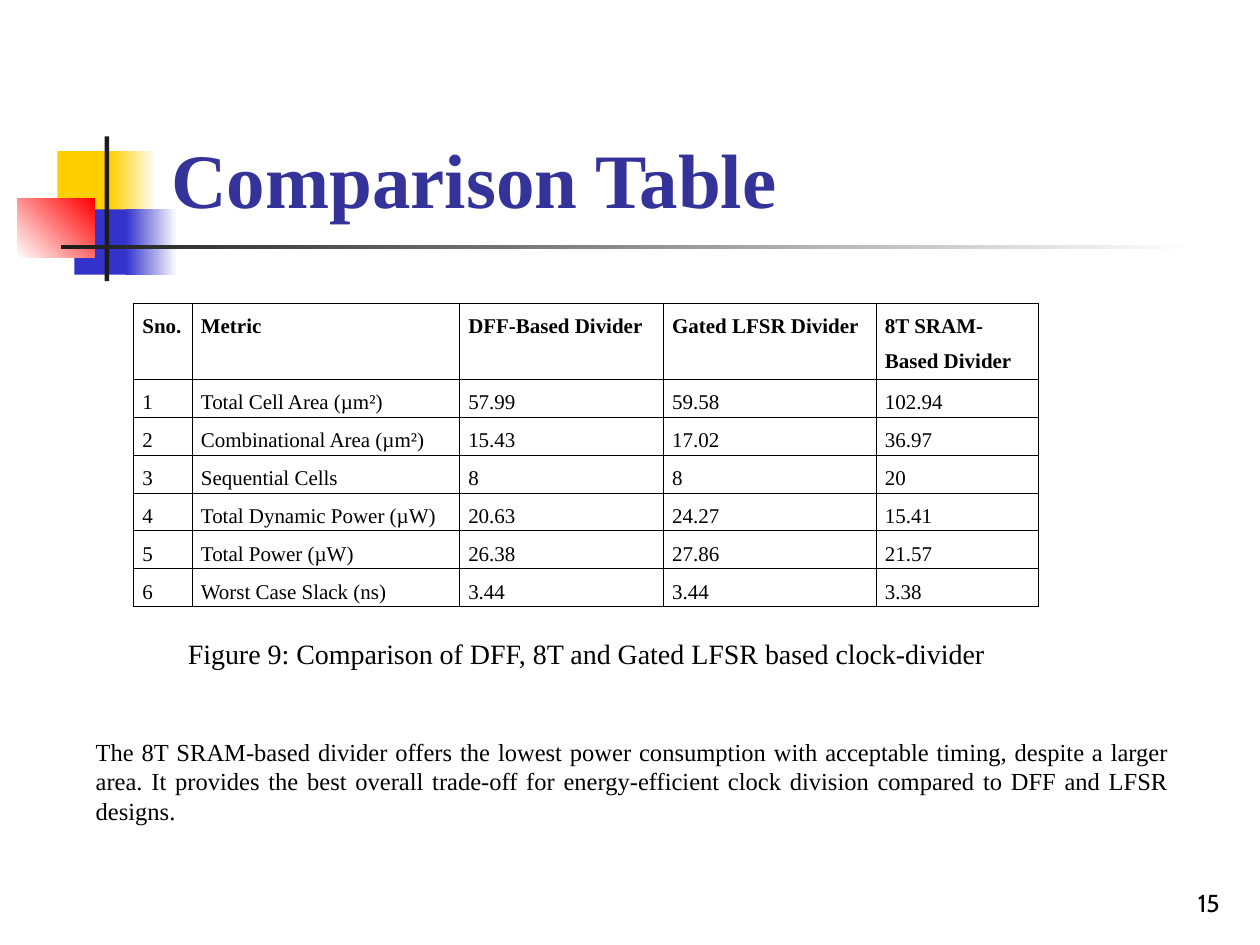
from lxml import etree
from pptx import Presentation
from pptx import util as u
from pptx.dml.color import RGBColor
from pptx.enum import shapes, text
from pptx.oxml import ns

BLACK = RGBColor(0x00, 0x00, 0x00)
WHITE = RGBColor(0xFF, 0xFF, 0xFF)
CHARCOAL = RGBColor(0x1C, 0x1C, 0x1C)
GOLD = RGBColor(0xFF, 0xCF, 0x01)
BLUE = RGBColor(0x33, 0x33, 0xCC)
RED = RGBColor(0xFF, 0x00, 0x00)
NAVY = RGBColor(0x33, 0x33, 0x99)
SERIF = "Times New Roman"
BORDER = "000008"

METRICS = [
    ["Sno.", "Metric", "DFF-Based Divider", "Gated LFSR Divider", "8T SRAM-Based Divider"],
    ["1", "Total Cell Area (µm²)", "57.99", "59.58", "102.94"],
    ["2", "Combinational Area (µm²)", "15.43", "17.02", "36.97"],
    ["3", "Sequential Cells", "8", "8", "20"],
    ["4", "Total Dynamic Power (µW)", "20.63", "24.27", "15.41"],
    ["5", "Total Power (µW)", "26.38", "27.86", "21.57"],
    ["6", "Worst Case Slack (ns)", "3.44", "3.44", "3.38"],
]


class SlideBuilder:
    """Holds the text style and the current slide, and adds elements to it."""

    def __init__(self, page, font=SERIF, color=BLACK):
        self.page = page
        self.font = font
        self.color = color

    def add_span(self, para, words, color=None, **formats):
        span = para.add_run()
        span.text = words
        span.font.color.rgb = color or self.color
        for name, value in {"name": self.font, **formats}.items():
            setattr(span.font, name, value)

    def block(self, place, start, end=None, angle=0):
        box = self.page.shapes.add_shape(shapes.MSO_SHAPE.RECTANGLE, *map(u.Cm, place))
        box.shadow.inherit = False
        box.line.fill.background()
        if end is None:
            box.fill.solid()
            box.fill.fore_color.rgb = start
            return
        box.fill.gradient()
        box.fill.gradient_angle = angle
        for stop, color in zip(box.fill.gradient_stops, (start, end)):
            stop.color.rgb = color

    def label(self, place, words, align=text.PP_ALIGN.LEFT, anchor=text.MSO_ANCHOR.TOP, **formats):
        frame = self.page.shapes.add_textbox(*map(u.Cm, place)).text_frame
        frame.word_wrap = True
        frame.vertical_anchor = anchor
        para = frame.paragraphs[0]
        para.alignment = align
        self.add_span(para, words, **formats)

    def border(self, cell):
        properties = cell._tc.get_or_add_tcPr()
        for index, side in enumerate(("lnL", "lnR", "lnT", "lnB")):
            line = etree.Element(ns.qn(f"a:{side}"), w=str(u.Pt(0.5)))
            fill = etree.SubElement(line, ns.qn("a:solidFill"))
            etree.SubElement(fill, ns.qn("a:srgbClr"), val=BORDER)
            properties.insert(index, line)

    def table(self, left, top, widths, heights, rows):
        place = map(u.Cm, (left, top, sum(widths), sum(heights)))
        grid = self.page.shapes.add_table(len(rows), len(widths), *place).table
        grid.first_row = grid.horz_banding = False
        for column, width in zip(grid.columns, widths):
            column.width = u.Cm(width)
        for row, height in zip(grid.rows, heights):
            row.height = u.Cm(height)
        margins = {"margin_left": 0.18, "margin_right": 0.18, "margin_top": 0, "margin_bottom": 0}
        for r, values in enumerate(rows):
            for c, words in enumerate(values):
                cell = grid.cell(r, c)
                for name, value in margins.items():
                    setattr(cell, name, u.Cm(value))
                cell.fill.background()
                self.border(cell)
                para = cell.text_frame.paragraphs[0]
                para.line_spacing = 1.5
                self.add_span(para, words, size=u.Pt(12), bold=r == 0)


def main():
    deck = Presentation()
    deck.slide_width, deck.slide_height = u.Cm(25.4), u.Cm(19.05)
    builder = SlideBuilder(deck.slides.add_slide(deck.slide_layouts[6]))

    builder.block((1.16, 3.05, 1.22, 1.32), GOLD)
    builder.block((2.23, 3.05, 0.92, 1.32), GOLD, WHITE)
    builder.block((1.5, 4.22, 1.18, 1.32), BLUE)
    builder.block((2.54, 4.22, 1.03, 1.32), BLUE, WHITE)
    builder.block((0.35, 4.01, 1.56, 1.18), WHITE, RED, angle=45)
    builder.block((2.11, 2.75, 0.09, 2.92), CHARCOAL)
    builder.block((1.23, 4.94, 22.86, 0.09), CHARCOAL, WHITE)

    bottom = text.MSO_ANCHOR.BOTTOM
    builder.label((3.2, 0.58, 21.64, 4.06), "Comparison Table", anchor=bottom,
                  color=NAVY, size=u.Pt(44), bold=True)
    builder.label((19.56, 17.35, 5.28, 1.27), "15", align=text.PP_ALIGN.RIGHT,
                  anchor=bottom, name="Cabin", size=u.Pt(14))
    builder.label((1.37, 12.7, 20.9, 0.94),
                  "Figure 9: Comparison of DFF, 8T and Gated LFSR based clock-divider",
                  align=text.PP_ALIGN.CENTER, size=u.Pt(16))
    builder.table(2.69, 6.12, [1.18, 5.39, 4.11, 4.29, 3.27], [1.53] + [0.76] * 6, METRICS)
    builder.label((1.68, 14.73, 22.15, 2.06),
                  "The 8T SRAM-based divider offers the lowest power consumption with acceptable "
                  "timing, despite a larger area. It provides the best overall trade-off for "
                  "energy-efficient clock division compared to DFF and LFSR designs.",
                  align=text.PP_ALIGN.JUSTIFY, size=u.Pt(14))
    deck.save("out.pptx")


if __name__ == "__main__":
    main()
